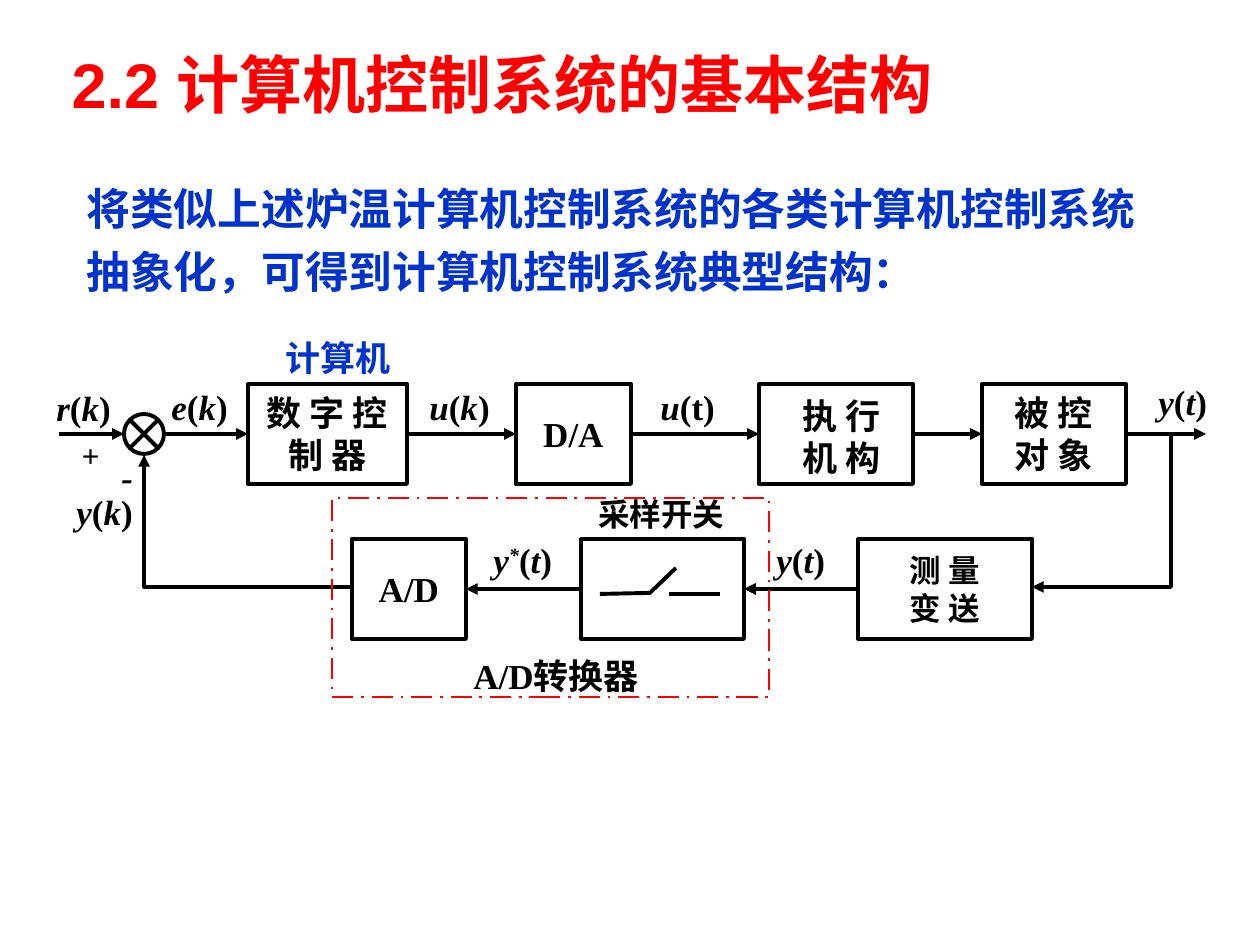
from dataclasses import dataclass

import pptx
import pptx.dml.color
import pptx.enum.dml
import pptx.enum.shapes
import pptx.enum.text
import pptx.oxml.ns
import pptx.util
from lxml import etree

PX_PER_INCH = 126
BLACK, BLUE, RED = "000000", "0033CC", "FF0000"
SERIF = "Times New Roman"
TOP_ROW, BOTTOM_ROW, BLOCK_HEIGHT = 384, 539, 100
TOP_WIRE, BOTTOM_WIRE = 434, 589
SHAPES = pptx.enum.shapes.MSO_SHAPE
ALIGN = pptx.enum.text.PP_ALIGN
ANCHOR = pptx.enum.text.MSO_ANCHOR


@dataclass
class Run:
    text: str
    italic: bool = False
    superscript: bool = False


@dataclass
class Block:
    left: int
    top: int
    width: int
    lines: tuple[str, ...] = ()
    size: int = 20
    shift_x: int = 0
    shift_y: int = 0


@dataclass
class Label:
    left: int
    top: int
    width: int
    runs: list[Run]
    size: int = 20
    color: str = BLACK


@dataclass
class Wire:
    points: list[tuple[int, int]]
    arrow: bool = True


def px(length: int) -> int:
    return round(length * pptx.util.Inches(1) / PX_PER_INCH)


def rgb(color: str) -> pptx.dml.color.RGBColor:
    return pptx.dml.color.RGBColor.from_string(color)


def formula(symbol: str, argument: str, mark: str = "", upright: bool = False) -> list[Run]:
    """Runs for symbol(argument), with an optional raised mark after the symbol."""
    raised = [Run(mark, True, True)] if mark else []
    return [Run(symbol, True), *raised, Run("("), Run(argument, not upright), Run(")")]


def add_runs(paragraph, runs: list[Run], size: int, color: str, font: str = SERIF) -> None:
    for run in runs:
        part = paragraph.add_run()
        part.text = run.text
        values = {"name": font, "size": pptx.util.Pt(size), "bold": True, "italic": run.italic}
        for name, value in values.items():
            setattr(part.font, name, value)
        part.font.color.rgb = rgb(color)
        if run.superscript:
            part.font._element.set("baseline", "30000")


def set_frame(frame, anchor=ANCHOR.TOP) -> None:
    values = {"word_wrap": True, "auto_size": pptx.enum.text.MSO_AUTO_SIZE.NONE,
              "vertical_anchor": anchor}
    for name, value in values.items():
        setattr(frame, name, value)


def fill_placeholder(holder, box: tuple[int, int, int, int], text: str, size: int,
                     color: str, font: str, spacing: float) -> None:
    for name, length in zip(("left", "top", "width", "height"), box):
        setattr(holder, name, px(length))
    set_frame(holder.text_frame)
    paragraph = holder.text_frame.paragraphs[0]
    properties = paragraph._p.get_or_add_pPr()
    properties.set("marL", "0")
    properties.set("indent", "0")
    etree.SubElement(properties, pptx.oxml.ns.qn("a:buNone"))
    values = {"alignment": ALIGN.LEFT, "line_spacing": spacing, "space_before": pptx.util.Pt(0)}
    for name, value in values.items():
        setattr(paragraph, name, value)
    add_runs(paragraph, [Run(text)], size, color, font)


def style_outline(shape, color: str = BLACK, width: float = 2.25) -> None:
    shape.line.color.rgb = rgb(color)
    shape.line.width = pptx.util.Pt(width)


def add_outlined(slide, kind, left: int, top: int, width: int, height: int):
    shape = slide.shapes.add_shape(kind, px(left), px(top), px(width), px(height))
    shape.shadow.inherit = False
    shape.fill.background()
    style_outline(shape)
    return shape


def add_block(slide, block: Block) -> None:
    shape = add_outlined(slide, SHAPES.RECTANGLE, block.left, block.top, block.width, BLOCK_HEIGHT)
    frame = shape.text_frame
    set_frame(frame, ANCHOR.MIDDLE)
    frame.margin_left = px(6 + 2 * block.shift_x)
    frame.margin_right = px(6)
    frame.margin_top = px(6 + 2 * block.shift_y)
    for number, line in enumerate(block.lines):
        paragraph = frame.add_paragraph() if number else frame.paragraphs[0]
        paragraph.alignment = ALIGN.CENTER
        add_runs(paragraph, [Run(line)], block.size, BLACK)


def add_label(slide, label: Label) -> None:
    box = slide.shapes.add_textbox(px(label.left), px(label.top), px(label.width), px(55))
    set_frame(box.text_frame)
    add_runs(box.text_frame.paragraphs[0], label.runs, label.size, label.color)


def add_wire(slide, wire: Wire) -> None:
    start, *rest = [(px(x), px(y)) for x, y in wire.points]
    if len(rest) == 1:
        line = slide.shapes.add_connector(pptx.enum.shapes.MSO_CONNECTOR.STRAIGHT, *start, *rest[0])
        style_outline(line)
        etree.SubElement(line._element.spPr, pptx.oxml.ns.qn("a:effectLst"))
    else:
        builder = slide.shapes.build_freeform(*start)
        builder.add_line_segments(rest, close=False)
        line = builder.convert_to_shape()
        line.shadow.inherit = False
        line.fill.background()
        style_outline(line)
    if wire.arrow:
        etree.SubElement(line.line._get_or_add_ln(), pptx.oxml.ns.qn("a:tailEnd"), type="triangle")


BLOCKS = [
    Block(248, TOP_ROW, 159, ("数 字 控", "制 器")),
    Block(516, TOP_ROW, 115, ("D/A",)),
    Block(759, TOP_ROW, 154, ("执 行", "机 构"), shift_x=6, shift_y=3),
    Block(982, TOP_ROW, 144, ("被 控", "对 象")),
    Block(352, BOTTOM_ROW, 114, ("A/D",)),
    Block(581, BOTTOM_ROW, 163),
    Block(858, BOTTOM_ROW, 174, ("测 量", "变 送"), size=18),
]
TOP_SPANS = [(59, 124), (164, 248), (407, 516), (631, 759), (913, 982), (1126, 1206)]
BOTTOM_SPANS = [(858, 744), (581, 466)]
WIRES = [
    *(Wire([(start, TOP_WIRE), (end, TOP_WIRE)]) for start, end in TOP_SPANS),
    *(Wire([(start, BOTTOM_WIRE), (end, BOTTOM_WIRE)]) for start, end in BOTTOM_SPANS),
    Wire([(352, 587), (144, 587), (144, 455)]),
    Wire([(1171, TOP_WIRE), (1171, 587), (1032, 587)]),
    Wire([(600, 594), (650, 593), (676, 568)], arrow=False),
    Wire([(669, 594), (720, 594)], arrow=False),
]
LABELS = [
    Label(1146, 374, 90, formula("y", "t")),
    Label(764, 532, 100, formula("y", "t")),
    Label(481, 532, 100, formula("y", "t", mark="*")),
    Label(64, 484, 100, formula("y", "k")),
    Label(44, 380, 100, formula("r", "k")),
    Label(159, 379, 100, formula("e", "k")),
    Label(417, 379, 100, formula("u", "k")),
    Label(648, 379, 100, formula("u", "t", upright=True)),
    Label(69, 430, 54, [Run("+", True)], size=18),
    Label(109, 449, 54, [Run("-", True)]),
    Label(273, 330, 139, [Run("计算机")], color=BLUE),
    Label(586, 489, 164, [Run("采样开关")], size=18),
    Label(461, 648, 277, [Run("A/D转换器")]),
]


def main() -> None:
    deck = pptx.Presentation()
    deck.slide_width, deck.slide_height = pptx.util.Inches(10), pptx.util.Inches(7.5)
    slide = deck.slides.add_slide(deck.slide_layouts[1])
    title, body = slide.placeholders
    fill_placeholder(title, (59, 39, 1052, 88), "2.2 计算机控制系统的基本结构", 36, RED, "Arial", 1.0)
    fill_placeholder(body, (74, 165, 1101, 139),
                     "将类似上述炉温计算机控制系统的各类计算机控制系统抽象化，可得到计算机控制系统典型结构：",
                     25, BLUE, SERIF, 1.2)
    for block in BLOCKS:
        add_block(slide, block)
    add_outlined(slide, SHAPES.FLOWCHART_SUMMING_JUNCTION, 124, 414, 40, 40)
    for wire in WIRES:
        add_wire(slide, wire)
    for label in LABELS:
        add_label(slide, label)
    converter = add_outlined(slide, SHAPES.RECTANGLE, 332, 498, 437, 199)
    style_outline(converter, RED, 1.5)
    converter.line.dash_style = pptx.enum.dml.MSO_LINE.LONG_DASH_DOT
    deck.save("out.pptx")


if __name__ == "__main__":
    main()
